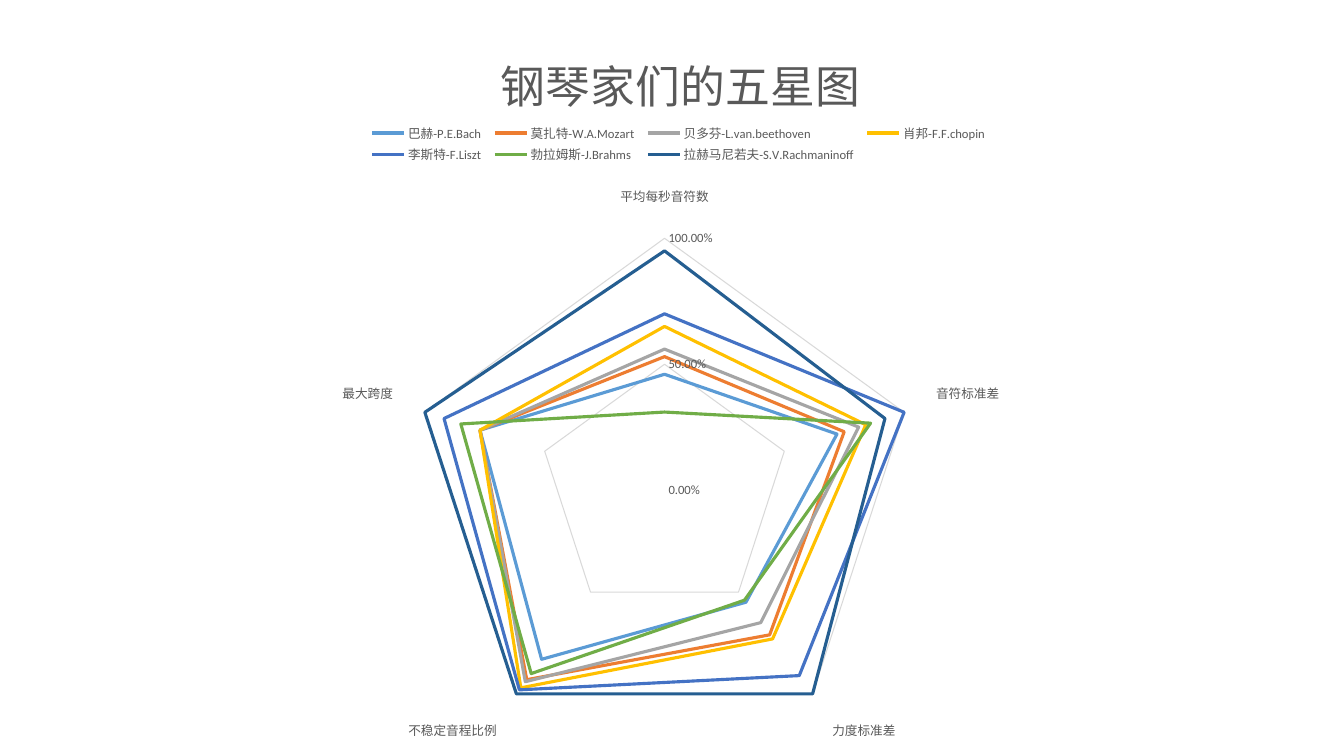
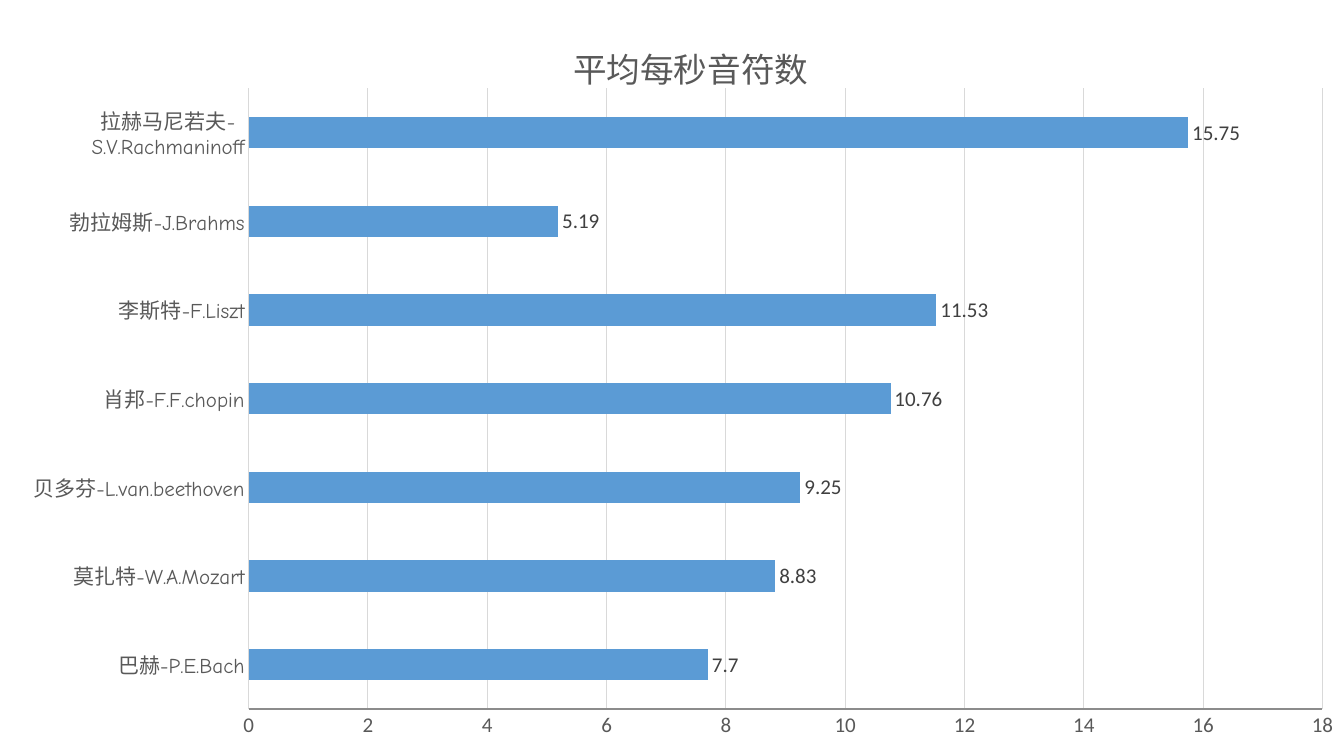
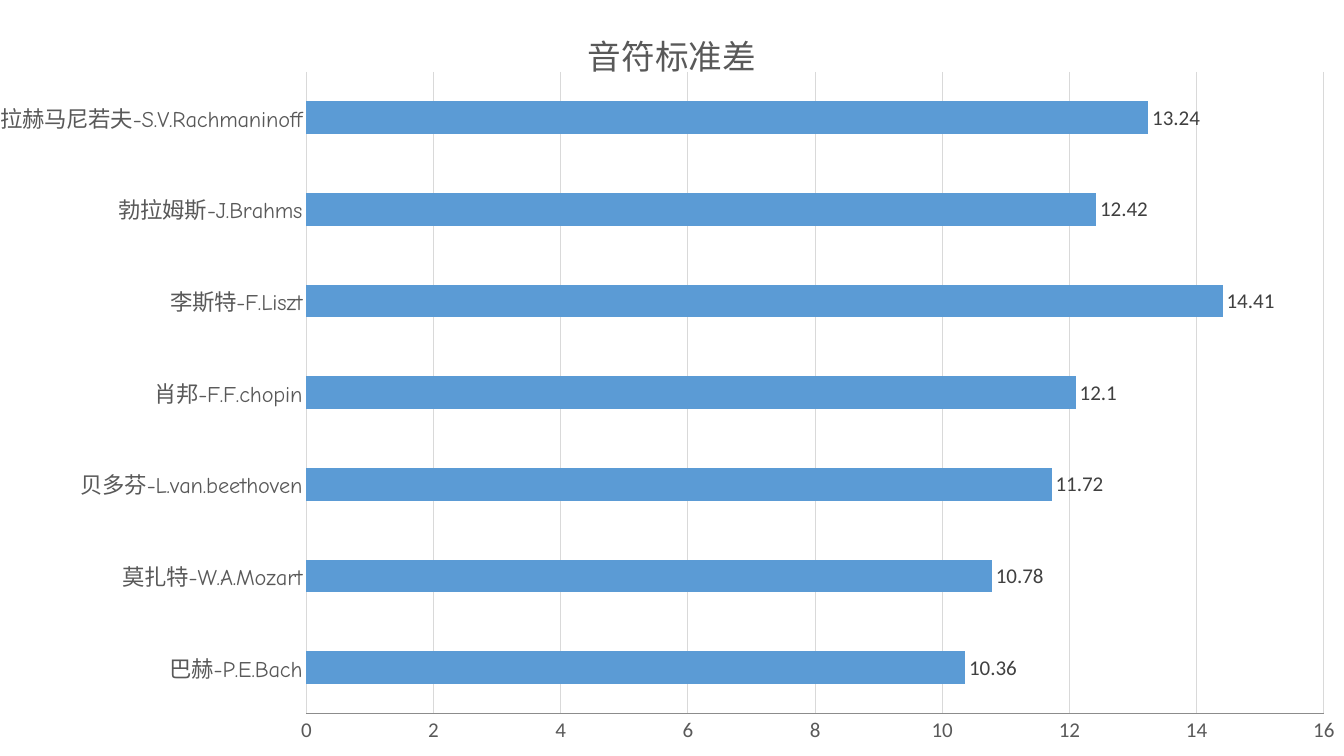
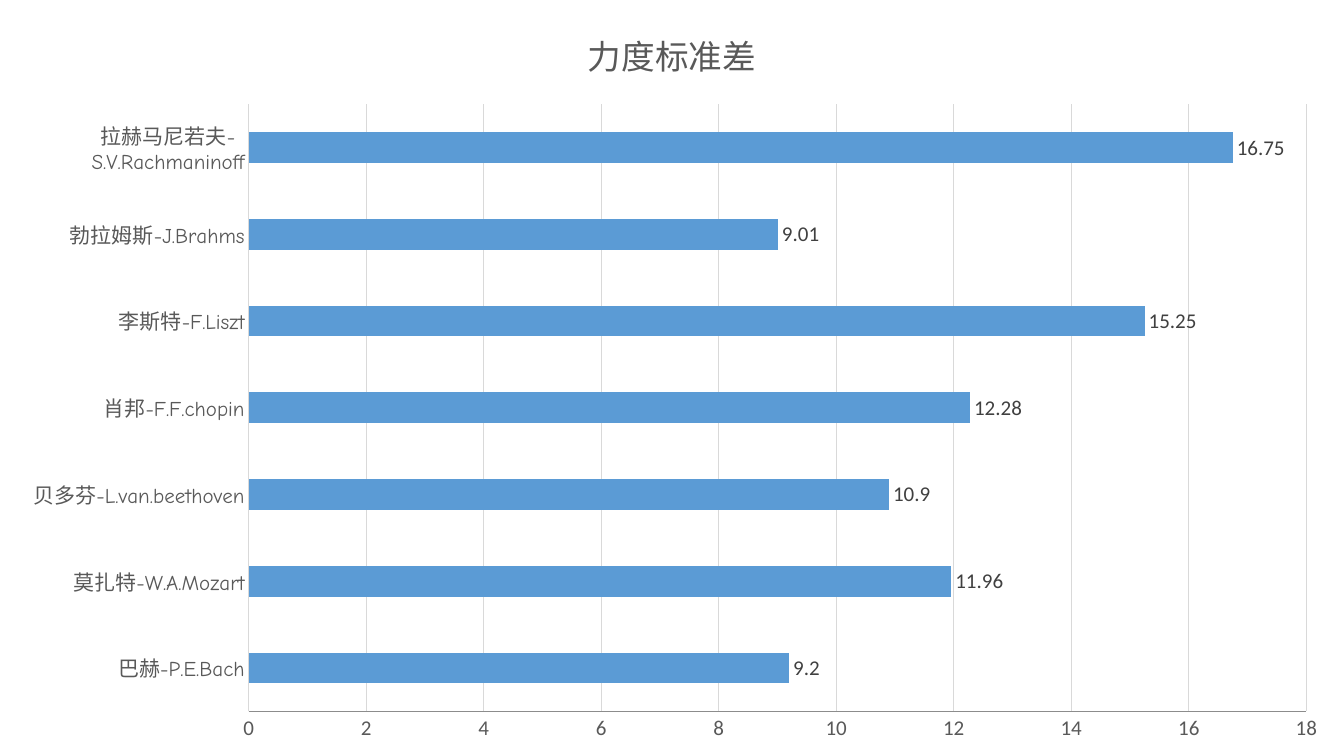
from lxml.etree import SubElement
from pptx import Presentation
from pptx.chart.data import CategoryChartData
from pptx.dml.color import RGBColor
from pptx.enum.chart import (XL_CHART_TYPE, XL_LABEL_POSITION,
                             XL_LEGEND_POSITION, XL_TICK_MARK)
from pptx.oxml.ns import qn
from pptx.util import Inches, Pt

# Shared colours and fonts
GREY = RGBColor(0x59, 0x59, 0x59)
LABEL_GREY = RGBColor(0x40, 0x40, 0x40)
AXIS_GREY = RGBColor(0x8C, 0x8C, 0x8C)
GRID_GREY = RGBColor(0xD9, 0xD9, 0xD9)
BLUE = RGBColor(0x5B, 0x9B, 0xD5)
ORANGE = RGBColor(0xED, 0x7D, 0x31)
SILVER = RGBColor(0xA5, 0xA5, 0xA5)
GOLD = RGBColor(0xFF, 0xC0, 0x00)
ROYAL = RGBColor(0x44, 0x72, 0xC4)
GREEN = RGBColor(0x70, 0xAD, 0x47)
NAVY = RGBColor(0x25, 0x5E, 0x91)
LATIN, SCRIPT, CHINESE = "Calibri", "Comic Neue", "Noto Sans CJK SC"

deck = Presentation()
deck.slide_width, deck.slide_height = Inches(13.33), Inches(7.5)


def place(part, index, **shares):
    """Fix a chart part at x, y, w, h, given as shares of the slide."""
    layout = part.find(qn("c:layout"))
    if layout is None:
        layout = part.makeelement(qn("c:layout"))
        part.insert(index, layout)
    manual = SubElement(layout, qn("c:manualLayout"))
    if part.tag == qn("c:plotArea"):
        SubElement(manual, qn("c:layoutTarget")).set("val", "inner")
    for side in "xy":
        SubElement(manual, qn(f"c:{side}Mode")).set("val", "edge")
    for side, share in shares.items():
        SubElement(manual, qn(f"c:{side}")).set("val", str(share))


def add_full_chart(kind, data, title, title_size, title_font, name_font, name_size, scale_size):
    """Add a slide filled by one chart with the common title and axes."""
    slide = deck.slides.add_slide(deck.slide_layouts[6])
    chart = slide.shapes.add_chart(kind, 0, 0, deck.slide_width, deck.slide_height, data).chart
    chart.font.name, chart.font.size = LATIN, Pt(10)
    chart.has_title = True
    chart.chart_title.include_in_layout = False
    heading = chart.chart_title.text_frame
    heading.text = title
    font = heading.paragraphs[0].font
    font.name, font.size, font.bold = title_font, Pt(title_size), False
    font.color.rgb = GREY

    names, scale = chart.category_axis, chart.value_axis
    for axis, face, size in ((names, name_font, name_size), (scale, LATIN, scale_size)):
        axis.major_tick_mark = axis.minor_tick_mark = XL_TICK_MARK.NONE
        font = axis.tick_labels.font
        font.name, font.size, font.color.rgb = face, Pt(size), GREY
    names.has_major_gridlines = False
    scale.has_major_gridlines = True
    for line in (names.format.line, scale.major_gridlines.format.line):
        line.color.rgb, line.width = GRID_GREY, Pt(0.75)
    scale.minimum_scale = 0
    return chart


# Content: share of the maximum on each of the five measures
measures = ["平均每秒音符数", "音符标准差", "力度标准差", "不稳定音程比例", "最大跨度"]
composers = {
    "巴赫-P.E.Bach": (BLUE, [0.46, 0.72, 0.55, 0.83, 0.77]),
    "莫扎特-W.A.Mozart": (ORANGE, [0.53, 0.75, 0.71, 0.93, 0.77]),
    "贝多芬-L.van.beethoven": (SILVER, [0.56, 0.81, 0.65, 0.94, 0.77]),
    "肖邦-F.F.chopin": (GOLD, [0.65, 0.84, 0.73, 0.97, 0.77]),
    "李斯特-F.Liszt": (ROYAL, [0.7, 1, 0.91, 0.98, 0.92]),
    "勃拉姆斯-J.Brahms": (GREEN, [0.31, 0.86, 0.54, 0.9, 0.85]),
    "拉赫马尼若夫-S.V.Rachmaninoff": (NAVY, [0.95, 0.92, 1, 1, 1]),
}

# Slide 1: radar of all composers
profiles = CategoryChartData(number_format="0.00%")
profiles.categories = measures
for composer, (_, shares) in composers.items():
    profiles.add_series(composer, shares)
radar = add_full_chart(XL_CHART_TYPE.RADAR, profiles, "钢琴家们的五星图",
                       32, CHINESE, LATIN, 9, 9)
for series, (colour, _) in zip(radar.plots[0].series, composers.values()):
    series.smooth = False
    series.format.line.color.rgb, series.format.line.width = colour, Pt(2.25)
percent = radar.value_axis
percent.maximum_scale, percent.major_unit = 1, 0.5
percent.tick_labels.number_format = "0.00%"
percent.tick_labels.number_format_is_linked = False
percent.format.line.fill.background()
radar.has_legend = True
legend = radar.legend
legend.position, legend.include_in_layout = XL_LEGEND_POSITION.TOP, False
legend.font.name, legend.font.size, legend.font.color.rgb = LATIN, Pt(9), GREY
place(radar.chart_title._element, 1, x=0.366, y=0.05)
place(legend._element, 1, x=0.27, y=0.16, w=0.47, h=0.06)
place(radar._chartSpace.chart.plotArea, 0, x=0.307, y=0.315, w=0.375, h=0.667)

# Slides 2 to 4: one measure each, with name size, scale end and plot area
rankings = [
    ([7.7, 8.83, 9.25, 10.76, 11.53, 5.19, 15.75], 15, 18,
     dict(x=0.185, y=0.117, w=0.799, h=0.821)),
    ([10.36, 10.78, 11.72, 12.1, 14.41, 12.42, 13.24], 16, 16,
     dict(x=0.228, y=0.095, w=0.757, h=0.849)),
    ([9.2, 11.96, 10.9, 12.28, 15.25, 9.01, 16.75], 15, 18,
     dict(x=0.185, y=0.138, w=0.787, h=0.803)),
]
for measure, (values, name_size, scale_end, plot_area) in zip(measures, rankings):
    scores = CategoryChartData()
    scores.categories = list(composers)
    scores.add_series(measure, values)
    ranking = add_full_chart(XL_CHART_TYPE.BAR_CLUSTERED, scores, measure,
                             24, LATIN, SCRIPT, name_size, 15)
    ranking.has_legend = False
    scale = ranking.value_axis
    scale.maximum_scale, scale.major_unit = scale_end, 2
    scale.format.line.color.rgb, scale.format.line.width = AXIS_GREY, Pt(0.75)
    bars = ranking.plots[0]
    bars.gap_width, bars.vary_by_categories = 182, False
    fill = bars.series[0].format.fill
    fill.solid()
    fill.fore_color.rgb = BLUE
    bars.has_data_labels = True
    labels = bars.data_labels
    labels.show_value, labels.position = True, XL_LABEL_POSITION.OUTSIDE_END
    labels.font.name, labels.font.size, labels.font.color.rgb = LATIN, Pt(15), LABEL_GREY
    place(ranking._chartSpace.chart.plotArea, 0, **plot_area)
    if measure == measures[0]:
        place(ranking.chart_title._element, 1, x=0.422, y=0.045)

deck.save("out.pptx")
